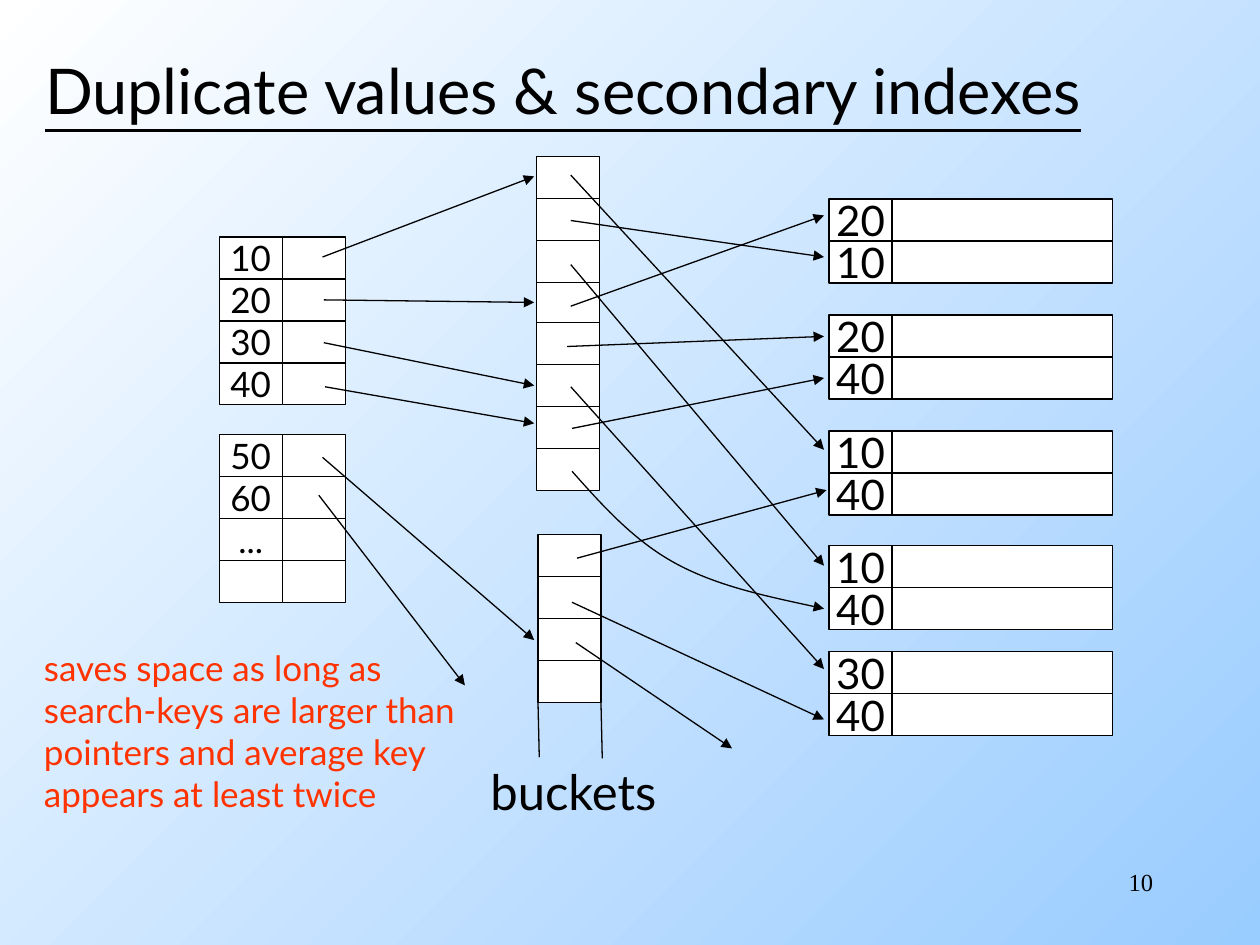
import pptx
import pptx.util
import pptx.dml.color
import pptx.enum.shapes
import pptx.enum.text
import pptx.oxml.ns
import pptx.oxml.xmlchemy

Inches = pptx.util.Inches
Pt = pptx.util.Pt
RGBColor = pptx.dml.color.RGBColor
ALIGN = pptx.enum.text.PP_ALIGN
ANCHOR = pptx.enum.text.MSO_ANCHOR
qualified = pptx.oxml.ns.qn
new_element = pptx.oxml.xmlchemy.OxmlElement

BLACK = RGBColor(0x00, 0x00, 0x00)
WHITE = RGBColor(0xFF, 0xFF, 0xFF)
SKY = RGBColor(0x99, 0xCC, 0xFF)
RED = RGBColor(0xFF, 0x33, 0x00)

ROW_HEIGHT = 1 / 3
KEY_WIDTH = 0.5
RECORD_WIDTH = 1.75
LINE_WIDTH = 0.75

RECORDS_LEFT = 6.58
RECORDS = [
    (1.58, ["20", "10"]),
    (2.5, ["20", "40"]),
    (3.42, ["10", "40"]),
    (4.33, ["10", "40"]),
    (5.17, ["30", "40"]),
]
INDEX_LEFT = 1.74
INDEX_BLOCKS = [
    (1.88, ["10", "20", "30", "40"]),
    (3.45, ["50", "60", "...", ""]),
]
BUCKETS = [(4.26, 1.24), (4.26, 2.56), (4.27, 4.24)]
BUCKET_ROWS = 4

BUCKET_EDGES = [
    ((4.27, 5.57), (4.28, 6.01)),
    ((4.77, 5.58), (4.78, 6.02)),
]
INDEX_POINTERS = [
    ((2.56, 2.04), (4.24, 1.4)),
    ((2.57, 2.38), (4.24, 2.4)),
    ((2.57, 2.72), (4.24, 3.06)),
    ((2.58, 3.07), (4.24, 3.36)),
    ((2.56, 3.63), (4.24, 5.08)),
    ((2.53, 3.93), (3.69, 5.44)),
]
BUCKET_POINTERS = [
    ((4.53, 1.39), (6.54, 3.57)),
    ((4.53, 1.75), (6.54, 2.04)),
    ((4.53, 2.1), (6.54, 4.49)),
    ((4.53, 2.43), (6.54, 1.71)),
    ((4.5, 2.75), (6.54, 2.67)),
    ((4.53, 3.07), (6.54, 5.31)),
    ((4.54, 3.4), (6.54, 3)),
    ((4.58, 4.43), (6.56, 3.89)),
    ((4.54, 4.78), (6.54, 5.71)),
    ((4.57, 5.1), (5.81, 5.94)),
]
CURVED_POINTER = [
    (4.54, 3.74),
    (4.78, 4.01), (5.03, 4.29), (5.36, 4.47),
    (5.69, 4.65), (6.12, 4.74), (6.54, 4.83),
]

TEXTS = [
    ("Duplicate values & secondary indexes", (0.26, 0.21, 8.67, 0.99),
     {"vertical_anchor": ANCHOR.MIDDLE, "word_wrap": True}, ALIGN.LEFT,
     {"size": Pt(36), "name": "Lato", "underline": True}, BLACK),
    ("buckets", (3.74, 5.99, 1.62, 0.57),
     {"vertical_anchor": ANCHOR.MIDDLE, "word_wrap": False}, ALIGN.CENTER,
     {"size": Pt(28), "name": "Lato"}, BLACK),
    ("saves space as long as search-keys are larger than pointers "
     "and average key appears at least twice", (0.25, 5.08, 3.68, 1.44),
     {"word_wrap": True}, ALIGN.LEFT, {"size": Pt(20), "name": "Lato"}, RED),
    ("10", (7.17, 6.83, 2.08, 0.5),
     {"word_wrap": True}, ALIGN.RIGHT,
     {"size": Pt(14), "name": "Times New Roman"}, BLACK),
]
CELL_FRAME = {"vertical_anchor": ANCHOR.MIDDLE, "word_wrap": False}


def set_values(target, values):
    for name, value in values.items():
        setattr(target, name, value)


def write_text(shape, text, frame_format, alignment, font_format, color):
    set_values(shape.text_frame, frame_format)
    paragraph = shape.text_frame.paragraphs[0]
    paragraph.alignment = alignment
    run = paragraph.add_run()
    run.text = text
    set_values(run.font, font_format)
    run.font.color.rgb = color


def style_line(shape, arrow=False):
    shape.line.color.rgb = BLACK
    shape.line.width = Pt(LINE_WIDTH)
    if arrow:
        tail = new_element("a:tailEnd")
        tail.set("type", "triangle")
        shape._element.spPr.find(qualified("a:ln")).append(tail)


def add_cell(shapes, left, top, width, label="", size=20):
    cell = shapes.add_shape(
        pptx.enum.shapes.MSO_SHAPE.RECTANGLE,
        Inches(left), Inches(top), Inches(width), Inches(ROW_HEIGHT))
    cell.shadow.inherit = False
    cell.fill.solid()
    cell.fill.fore_color.rgb = WHITE
    style_line(cell)
    if label:
        font_format = {"size": Pt(size), "name": "Lato"}
        write_text(cell, label, CELL_FRAME, ALIGN.CENTER, font_format, BLACK)


def add_block(slide, left, top, labels, widths, size=20):
    group = slide.shapes.add_group_shape()
    for row, label in enumerate(labels):
        row_top = top + row * ROW_HEIGHT
        for column, width in enumerate(widths):
            add_cell(group.shapes, left + sum(widths[:column]), row_top, width,
                     "" if column else label, size)


def add_line(slide, start, end, arrow):
    connector = slide.shapes.add_connector(
        pptx.enum.shapes.MSO_CONNECTOR.STRAIGHT,
        *[Inches(value) for value in start + end])
    style_line(connector, arrow)
    connector._element.spPr.append(new_element("a:effectLst"))


def add_curve(slide, points):
    positions = [(Inches(x), Inches(y)) for x, y in points]
    builder = slide.shapes.build_freeform(*positions[0])
    builder.add_line_segments(positions[1:], close=False)
    curve = builder.convert_to_shape()
    curve.shadow.inherit = False
    curve.fill.background()
    style_line(curve, arrow=True)
    segments = list(curve._element.iter(qualified("a:lnTo")))
    outline = segments[0].getparent()
    for first in range(0, len(segments), 3):
        bezier = new_element("a:cubicBezTo")
        for segment in segments[first:first + 3]:
            bezier.append(segment[0])
            outline.remove(segment)
        outline.append(bezier)


def main():
    presentation = pptx.Presentation()
    set_values(presentation, {"slide_width": Inches(10), "slide_height": Inches(7.5)})
    slide = presentation.slides.add_slide(presentation.slide_layouts[6])

    background = slide.background.fill
    background.gradient()
    background.gradient_angle = 315
    for stop, color, position in zip(background.gradient_stops, (WHITE, SKY), (0, 1)):
        stop.color.rgb = color
        stop.position = position

    for top, labels in RECORDS:
        add_block(slide, RECORDS_LEFT, top, labels, [KEY_WIDTH, RECORD_WIDTH], 24)
    for top, labels in INDEX_BLOCKS:
        add_block(slide, INDEX_LEFT, top, labels, [KEY_WIDTH, KEY_WIDTH])
    for left, top in BUCKETS:
        add_block(slide, left, top, [""] * BUCKET_ROWS, [KEY_WIDTH])

    for start, end in BUCKET_EDGES:
        add_line(slide, start, end, arrow=False)
    for start, end in INDEX_POINTERS + BUCKET_POINTERS:
        add_line(slide, start, end, arrow=True)
    add_curve(slide, CURVED_POINTER)

    for text, box, *text_format in TEXTS:
        shape = slide.shapes.add_textbox(*[Inches(value) for value in box])
        write_text(shape, text, *text_format)

    presentation.save("out.pptx")


if __name__ == "__main__":
    main()
